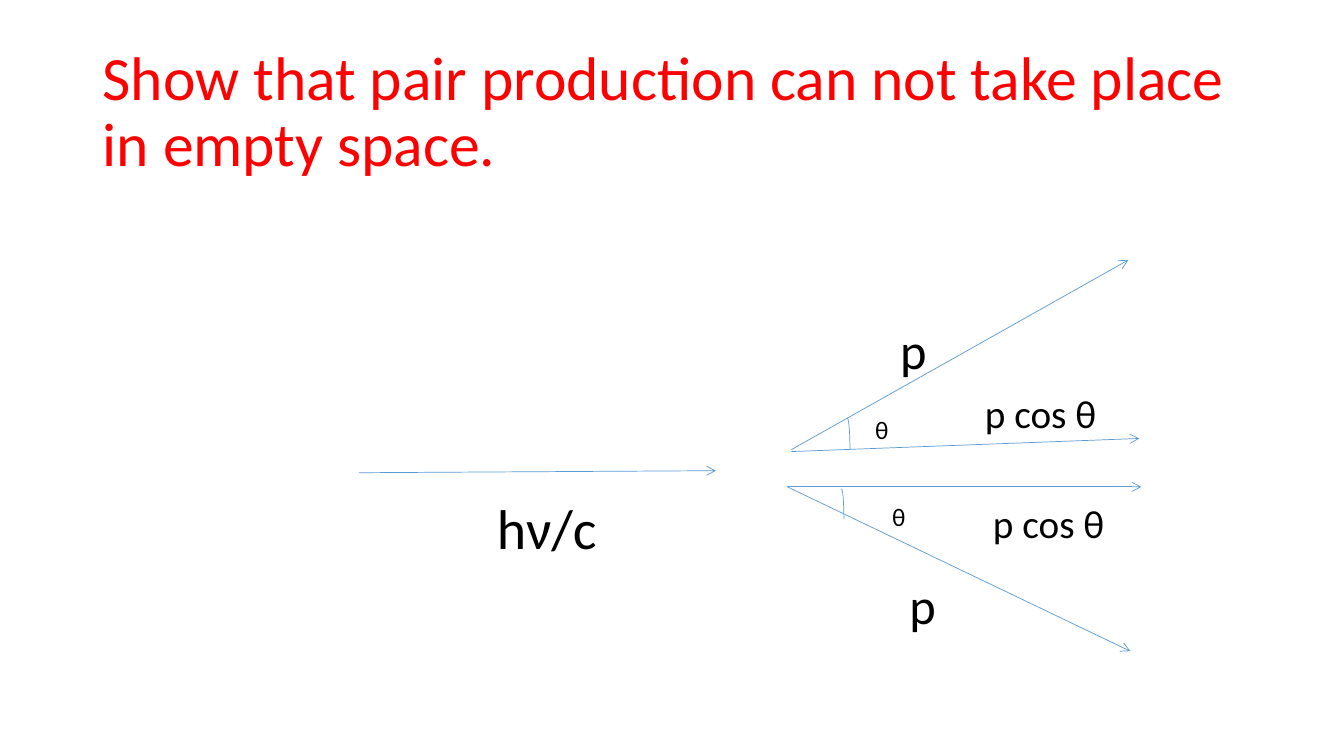
from lxml import etree
from pptx import Presentation
from pptx.dml.color import RGBColor
from pptx.enum.shapes import MSO_CONNECTOR, MSO_SHAPE
from pptx.enum.text import MSO_ANCHOR, MSO_AUTO_SIZE
from pptx.oxml.ns import qn
from pptx.util import Inches, Pt

STRAIGHT = MSO_CONNECTOR.STRAIGHT
ARC = MSO_SHAPE.ARC
MIDDLE = MSO_ANCHOR.MIDDLE
FIT_TEXT = MSO_AUTO_SIZE.SHAPE_TO_FIT_TEXT
COLORS = {"title": "FF0000", "label": "000000", "line": "5B9BD5"}
FONT = "Calibri"
LINE_WIDTH = Pt(0.5)


def add_text(slide, box, text, size, color="label"):
    """Add a one-paragraph text box and return its text frame."""
    frame = slide.shapes.add_textbox(*map(Inches, box)).text_frame
    frame.word_wrap = True
    paragraph = frame.paragraphs[0]
    paragraph.text = text
    paragraph.font.name = FONT
    paragraph.font.size = Pt(size)
    paragraph.font.color.rgb = RGBColor.from_string(COLORS[color])
    return frame


def add_label(slide, box, text, size):
    """Add a diagram label whose box grows with its text."""
    add_text(slide, box, text, size).auto_size = FIT_TEXT


def style_line(line):
    """Give a line the diagram's colour and width."""
    line.color.rgb = RGBColor.from_string(COLORS["line"])
    line.width = LINE_WIDTH


def add_arrow(slide, start, end):
    """Draw a thin arrow from start to end."""
    arrow = slide.shapes.add_connector(STRAIGHT, *map(Inches, (*start, *end)))
    style_line(arrow.line)
    properties = arrow._element.spPr
    outline = properties.find(qn("a:ln"))
    etree.SubElement(outline, qn("a:tailEnd"), type="arrow")
    etree.SubElement(properties, qn("a:effectLst"))


def add_title(slide, box):
    """Place the heading in its box."""
    question = "Show that pair production can not take place in empty space."
    frame = add_text(slide, box, question, 44, "title")
    frame.vertical_anchor = MIDDLE
    frame.paragraphs[0].line_spacing = 0.9


def add_photon(slide, box):
    """Draw the incoming photon's momentum and its label."""
    left, top, width, _ = box
    add_arrow(slide, (left, top + 0.02), (left + width, top))
    add_label(slide, (left + 1.27, top + 0.18, 1.88, 0.77), "hν/c", 40)


def add_particle(slide, box, rises, gap, drift, angle_arc, labels):
    """Draw one particle's momentum, its forward component and their angle."""
    left, top, width, height = box
    vertex = top + height if rises else top
    tip = top if rises else top + height
    add_arrow(slide, (left, vertex), (left + width, tip))
    add_arrow(slide, (left, vertex + gap),
              (left + width + 0.11, vertex + gap - drift))

    arc_x, arc_y, arc_height = angle_arc
    arc = slide.shapes.add_shape(
        ARC, *map(Inches, (left + arc_x, vertex + arc_y, 0.05, arc_height)))
    arc.shadow.inherit = False
    arc.fill.background()
    style_line(arc.line)

    for text, size, x, y, label_width, label_height in labels:
        label_box = (left + x, vertex + y, label_width, label_height)
        add_label(slide, label_box, text, size)


def main():
    """Build the slide and save it."""
    deck = Presentation()
    deck.slide_width = Inches(13.33)
    deck.slide_height = Inches(7.5)
    slide = deck.slides.add_slide(deck.slide_layouts[6])
    add_title(slide, (0.92, 0.4, 11.5, 1.45))
    add_photon(slide, (3.56, 4.67, 3.54, 0.95))
    add_particle(slide, (7.85, 2.58, 3.34, 1.88), True, 0.02, 0.13,
                 (0.53, -0.31, 0.62),
                 [("θ", 18, 0.73, -0.4, 0.69, 0.4),
                  ("p cos θ", 28, 1.82, -0.65, 1.81, 0.57),
                  ("p", 36, 0.98, -1.34, 0.73, 0.71)])
    add_particle(slide, (7.81, 4.83, 3.4, 1.63), False, 0, 0,
                 (0.51, 0.02, 0.6),
                 [("θ", 18, 0.94, 0.09, 0.69, 0.4),
                  ("p cos θ", 28, 1.94, 0.07, 1.71, 0.57),
                  ("p", 36, 1.11, 0.82, 0.73, 0.71)])
    deck.save("out.pptx")


if __name__ == "__main__":
    main()
